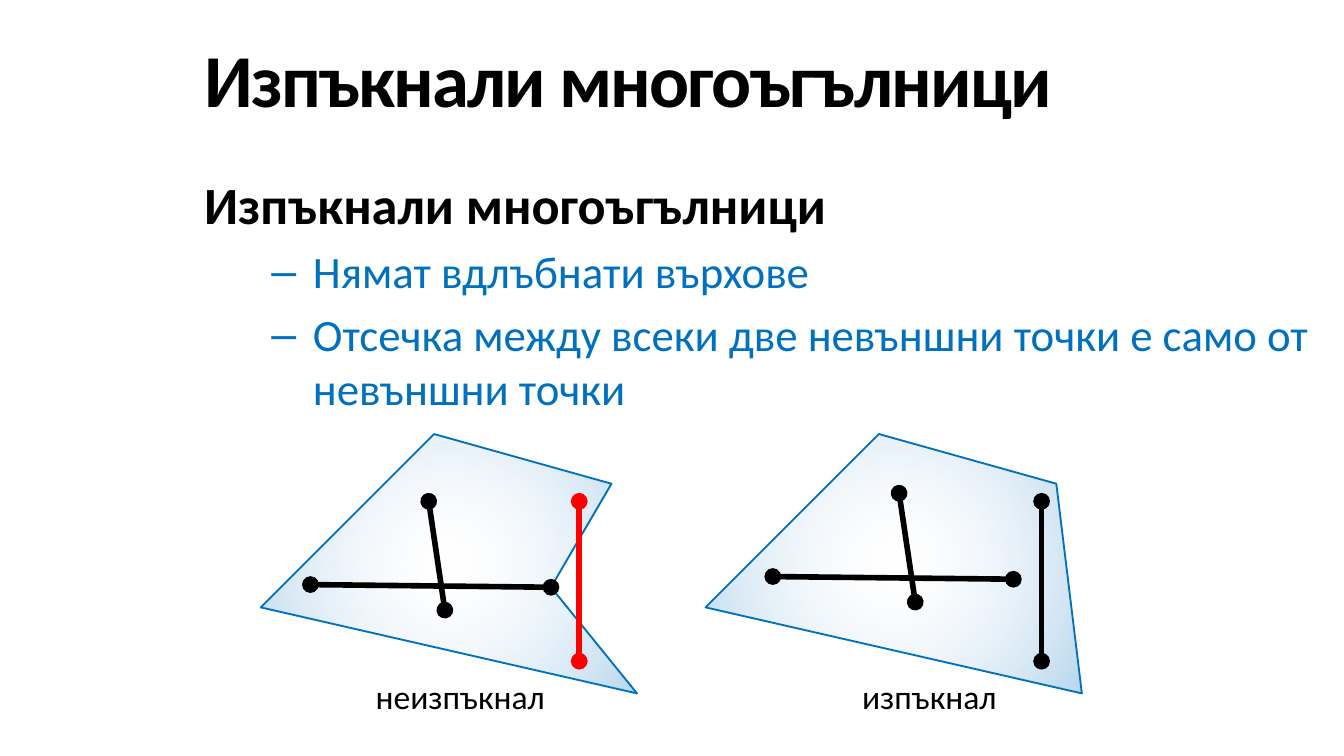
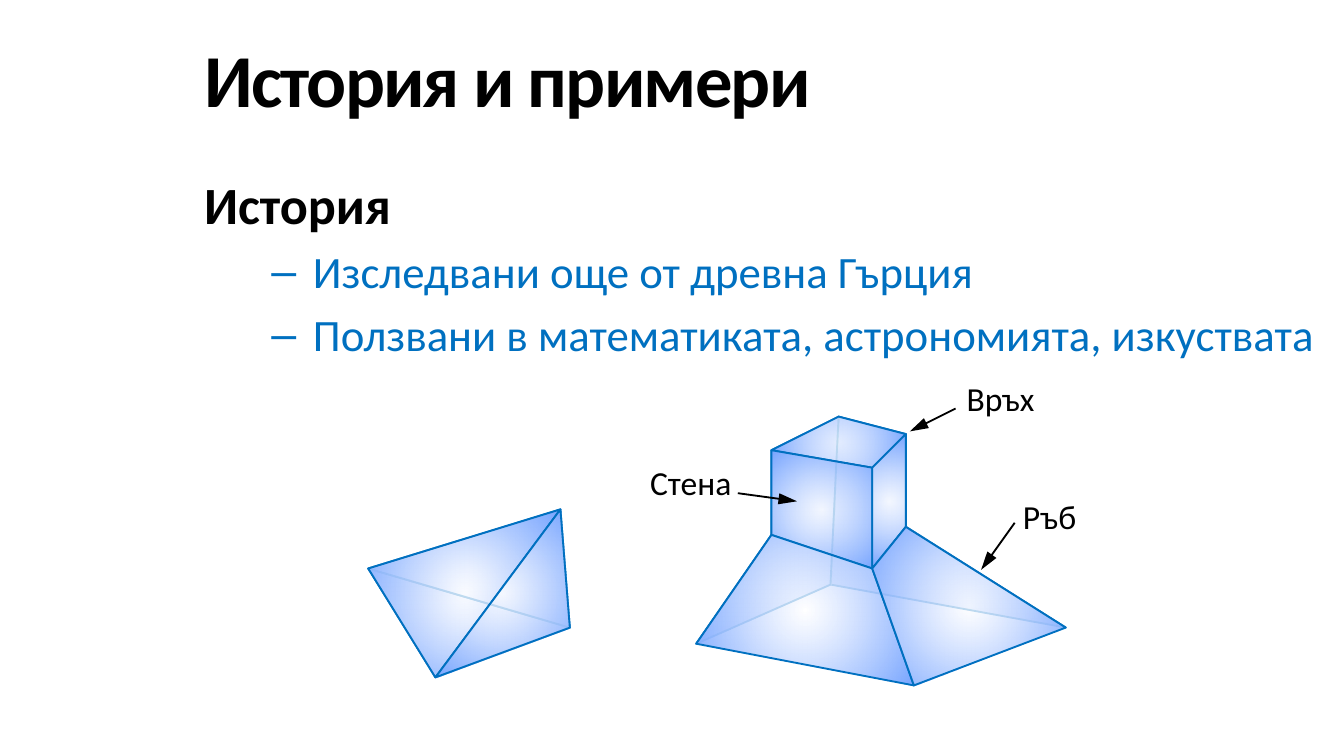
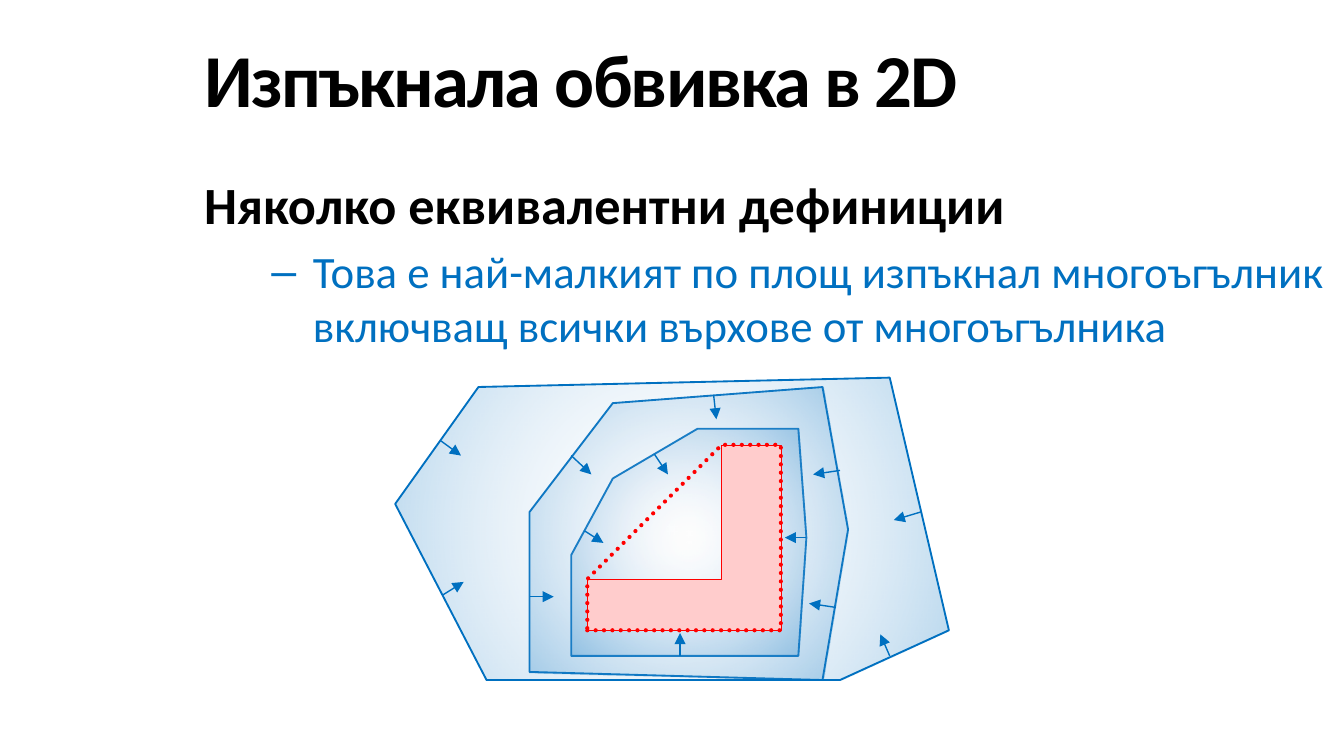
import dataclasses

import pptx
import pptx.dml.color
import pptx.enum.dml
import pptx.enum.shapes
import pptx.enum.text
import pptx.oxml.ns
import pptx.util
from lxml import etree

Inches = pptx.util.Inches
Pt = pptx.util.Pt
qn = pptx.oxml.ns.qn


@dataclasses.dataclass(frozen=True)
class Theme:
    """Colours, type sizes and gradients of the deck."""
    font: str = "Calibri"
    black: str = "000000"
    blue: str = "0070C0"
    red: str = "FF0000"
    pink: str = "FFCCCC"
    title: int = 40
    head: int = 28
    item: int = 24
    label: int = 18
    glass: tuple = ((0, "E1E8F5", 0), (100, "0070C0", 29))
    solid: tuple = ((0, "FFFFFF", 75), (100, "76A4FF", 100))


THEME = Theme()


def rgb(code):
    """Turn a hex code into a colour."""
    return pptx.dml.color.RGBColor.from_string(code)


def add_node(root, tag, **attrs):
    """Append an XML child with the given attributes."""
    return etree.SubElement(root, qn(tag), {k: str(v) for k, v in attrs.items()})


def style(para, size, color, bold=False):
    """Format every run of a paragraph."""
    for run in para.runs:
        font = run.font
        font.name, font.size, font.bold = THEME.font, Pt(size), bold
        font.color.rgb = rgb(color)


def stroke(line, color, width):
    """Set the colour and width of a line."""
    line.color.rgb = rgb(color)
    line.width = Pt(width)


def shade(shape, stops):
    """Fill a shape with a round gradient from its centre."""
    shape.fill.background()
    props = shape._element.spPr
    empty = props.find(qn("a:noFill"))
    grad = etree.Element(qn("a:gradFill"), rotWithShape="1")
    group = add_node(grad, "a:gsLst")
    for pos, code, alpha in stops:
        stop = add_node(group, "a:gs", pos=pos * 1000)
        tint = add_node(stop, "a:srgbClr", val=code)
        add_node(tint, "a:alpha", val=alpha * 1000)
    ring = add_node(grad, "a:path", path="circle")
    add_node(ring, "a:fillToRect", l=50000, t=50000, r=50000, b=50000)
    props.replace(empty, grad)


def add_poly(shapes, points, color=THEME.blue, width=1):
    """Draw a closed outline through the points, without fill."""
    spots = [(Inches(x), Inches(y)) for x, y in points]
    pen = shapes.build_freeform(*spots[0])
    pen.add_line_segments(spots[1:], close=True)
    shape = pen.convert_to_shape()
    shape._element.remove(shape._element.find(qn("p:style")))
    shape.shadow.inherit = False
    shape.fill.background()
    stroke(shape.line, color, width)
    return shape


def add_solid(slide, faces):
    """Draw a group of shaded faces, from back to front."""
    group = slide.shapes.add_group_shape()
    for face in faces:
        shade(add_poly(group.shapes, face), THEME.solid)


def add_line(slide, ends, color, width, tail, head=None, size="med"):
    """Draw a straight line with end marks."""
    link = slide.shapes.add_connector(
        pptx.enum.shapes.MSO_CONNECTOR.STRAIGHT, *map(Inches, ends))
    stroke(link.line, color, width)
    line = link.line._get_or_add_ln()
    if head:
        add_node(line, "a:headEnd", type=head)
    add_node(line, "a:tailEnd", type=tail, len=size)
    add_node(link._element.spPr, "a:effectLst")


def add_label(slide, text, left, top, width):
    """Add a short centred caption."""
    box = slide.shapes.add_textbox(*map(Inches, (left, top, width, 0.4)))
    frame = box.text_frame
    frame.word_wrap = False
    frame.auto_size = pptx.enum.text.MSO_AUTO_SIZE.SHAPE_TO_FIT_TEXT
    frame.text = text
    para = frame.paragraphs[0]
    para.alignment = pptx.enum.text.PP_ALIGN.CENTER
    style(para, THEME.label, THEME.black)


def add_title(slide, text):
    """Place and format the slide title."""
    title = slide.shapes.title
    title.left, title.top, title.width, title.height = map(
        Inches, (1.42, 0.15, 8.58, 0.85))
    frame = title.text_frame
    frame.text = text
    frame.word_wrap = True
    frame.auto_size = pptx.enum.text.MSO_AUTO_SIZE.NONE
    frame.vertical_anchor = pptx.enum.text.MSO_ANCHOR.MIDDLE
    para = frame.paragraphs[0]
    para.alignment = pptx.enum.text.PP_ALIGN.LEFT
    style(para, THEME.title, THEME.black, True)
    para.runs[0].font._element.set("spc", "-100")


def add_body(slide, head, items):
    """Add a bold heading and its dashed items."""
    box = slide.shapes.add_textbox(*map(Inches, (1.42, 1.23, 8.58, 4.08)))
    frame = box.text_frame
    frame.word_wrap = True
    frame.text = head
    style(frame.paragraphs[0], THEME.head, THEME.black, True)
    for item in items:
        para = frame.add_paragraph()
        para.text = item
        para.level = 1
        para.space_before = Pt(5)
        props = para._element.get_or_add_pPr()
        props.set("marL", str(Inches(0.81)))
        props.set("indent", str(Inches(-0.31)))
        add_node(props, "a:buFont", typeface="Arial")
        add_node(props, "a:buChar", char="–")
        style(para, THEME.item, THEME.blue)


def add_slide(deck, title, head, items):
    """Start a slide with title and body."""
    slide = deck.slides.add_slide(deck.slide_layouts[5])
    add_title(slide, title)
    add_body(slide, head, items)
    return slide


def draw_convex(deck):
    """Compare a concave and a convex polygon."""
    slide = add_slide(deck, "Изпъкнали многоъгълници", "Изпъкнали многоъгълници", [
        "Нямат вдлъбнати върхове",
        "Отсечка между всеки две невъншни точки е само от невъншни точки"])
    for points in (
            [(1.94, 4.52), (3.23, 3.23), (4.55, 3.6), (4.1, 4.37), (4.74, 5.16)],
            [(5.25, 4.52), (6.54, 3.23), (7.86, 3.6), (8.05, 5.16)]):
        shade(add_poly(slide.shapes, points), THEME.glass)
    for color, ends in (
            (THEME.black, (3.19, 3.73, 3.31, 4.54)),
            (THEME.black, (6.69, 3.67, 6.81, 4.48)),
            (THEME.black, (4.1, 4.37, 2.31, 4.35)),
            (THEME.black, (7.54, 4.31, 5.75, 4.29)),
            (THEME.red, (4.31, 3.73, 4.31, 4.92)),
            (THEME.black, (7.75, 3.73, 7.75, 4.92))):
        add_line(slide, ends, color, 3, "oval", "oval")
    add_label(slide, "изпъкнал", 6.31, 4.98, 1.21)
    add_label(slide, "неизпъкнал", 2.69, 4.98, 1.47)


def draw_solids(deck):
    """Show two solids and name their parts."""
    slide = add_slide(deck, "История и примери", "История", [
        "Изследвани още от древна Гърция",
        "Ползвани в математиката, астрономията, изкуствата"])
    top, left, right, front = (6.24, 3.1), (5.74, 3.35), (6.74, 3.23), (6.49, 3.48)
    west, east, neck = (5.74, 3.98), (6.74, 3.92), (6.49, 4.23)
    back, far, near, base = (6.18, 4.35), (5.18, 4.79), (7.93, 4.67), (6.8, 5.1)
    add_solid(slide, [
        [back, top, right, east, near],
        [back, far, west, left, top],
        [right, front, left, top],
        [front, neck, west, left],
        [right, east, neck, front],
        [neck, base, far, west],
        [east, near, base, neck]])
    west, peak, east, base = (2.74, 4.23), (4.17, 3.79), (4.24, 4.67), (3.24, 5.04)
    add_solid(slide, [
        [west, east, base], [peak, east, west],
        [west, peak, base], [peak, east, base]])
    for text, spot, ends in (
            ("Връх", (7.09, 2.76, 0.71), (7.11, 3.04, 6.77, 3.21)),
            ("Ръб", (7.51, 3.64, 0.6), (7.55, 3.89, 7.3, 4.24)),
            ("Стена", (4.73, 3.39, 0.82), (5.49, 3.67, 5.93, 3.73))):
        add_label(slide, text, *spot)
        add_line(slide, ends, THEME.black, 1, "triangle", size="lg")


def draw_hull(deck):
    """Shrink outlines towards the convex hull."""
    slide = add_slide(deck, "Изпъкнала обвивка в 2D", "Няколко еквивалентни дефиниции", [
        "Това е най-малкият по площ изпъкнал многоъгълник "
        "включващ всички върхове от многоъгълника"])
    for points in (
            [(5.94, 4.88), (6, 4), (5.94, 3.19), (5.19, 3.19),
             (4.56, 3.56), (4.25, 4.13), (4.25, 4.88)],
            [(6.12, 5.06), (6.31, 3.94), (6.12, 2.88), (4.56, 3),
             (3.94, 3.81), (3.94, 5)],
            [(6.25, 5.06), (7.06, 4.69), (6.62, 2.81), (3.56, 2.88),
             (2.94, 3.75), (3.62, 5.06)]):
        shade(add_poly(slide.shapes, points), THEME.glass)
    for ends in (
            (4.35, 3.95, 4.49, 4.04), (4.87, 3.38, 4.97, 3.53),
            (5.06, 4.88, 5.06, 4.71), (6, 4, 5.84, 4),
            (5.31, 2.94, 5.33, 3.12), (4.25, 3.39, 4.4, 3.53),
            (3.94, 4.44, 4.12, 4.44), (6.25, 3.5, 6.05, 3.53),
            (6.22, 4.52, 6.02, 4.49), (6.85, 3.81, 6.65, 3.87),
            (6.62, 4.88, 6.55, 4.72), (3.29, 4.43, 3.45, 4.33),
            (3.28, 3.28, 3.43, 3.39)):
        add_line(slide, ends, THEME.blue, 0.75, "triangle")
    start = [(4.37, 4.69), (5.81, 4.69), (5.81, 3.31), (5.37, 3.31)]
    notch, end = (5.37, 4.31), (4.37, 4.31)
    shape = add_poly(slide.shapes, start + [notch, end], THEME.red, 0.25)
    shape.fill.solid()
    shape.fill.fore_color.rgb = rgb(THEME.pink)
    hull = add_poly(slide.shapes, start + [end], THEME.red, 2.25)
    hull.line.dash_style = pptx.enum.dml.MSO_LINE.ROUND_DOT
    hull.line._get_or_add_ln().set("cap", "rnd")


def main():
    """Build and save the deck."""
    deck = pptx.Presentation()
    deck.slide_width = Inches(10)
    deck.slide_height = deck.slide_width * 9 // 16
    draw_convex(deck)
    draw_solids(deck)
    draw_hull(deck)
    deck.save("out.pptx")


if __name__ == "__main__":
    main()
